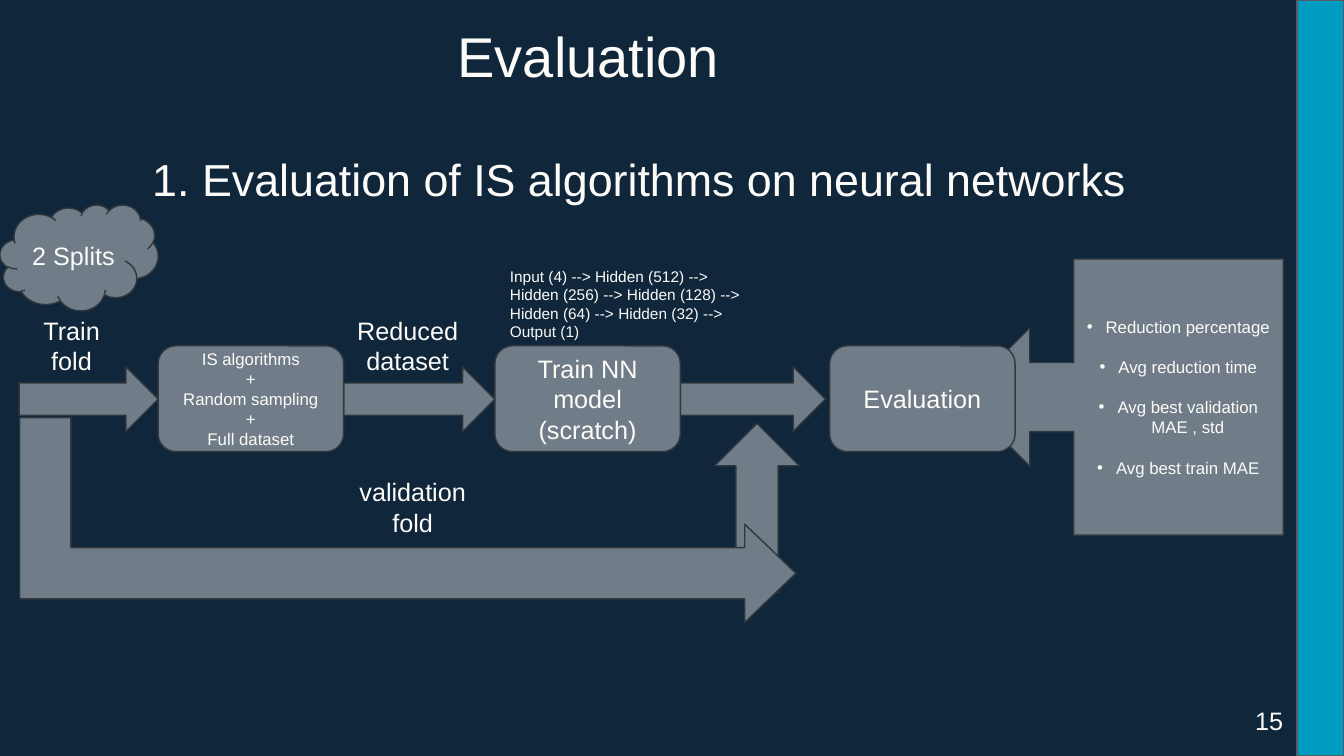
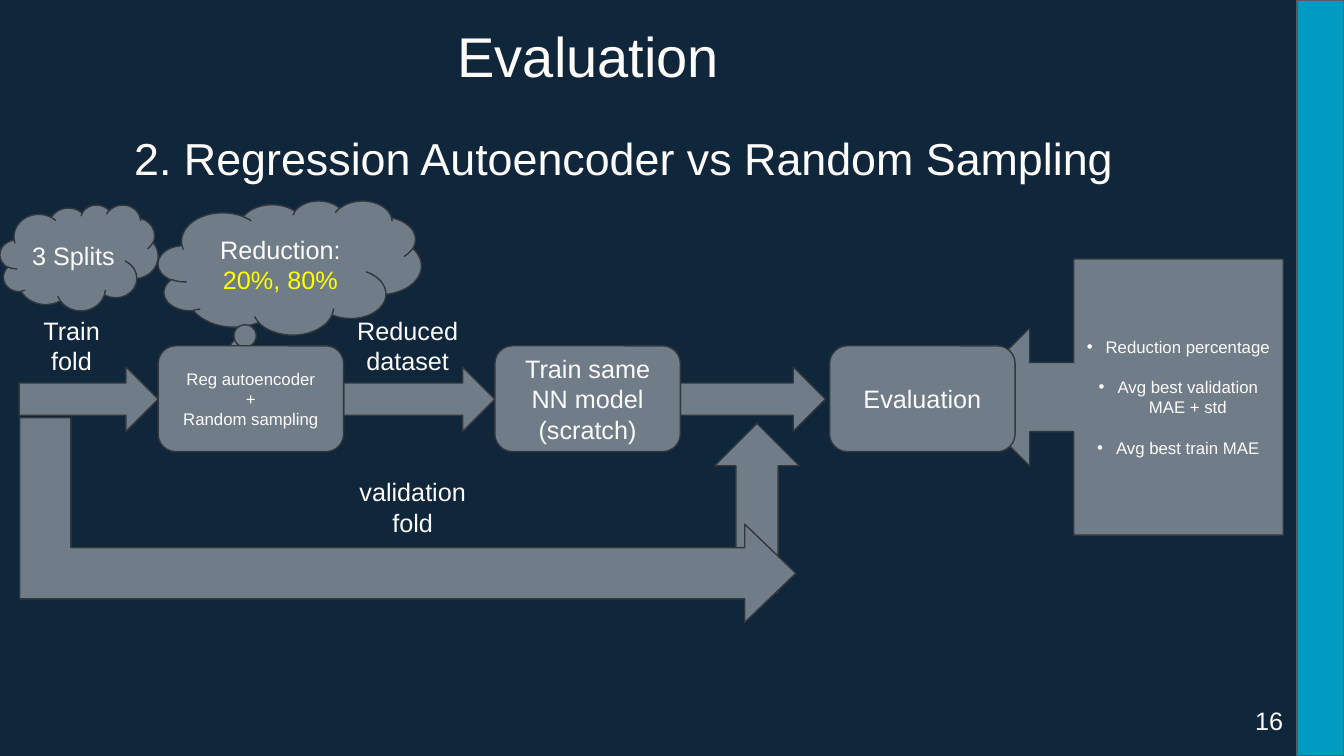
from dataclasses import dataclass, field
from typing import Any, NamedTuple

import lxml.etree
import pptx
import pptx.dml.color
import pptx.enum.shapes
import pptx.enum.text
import pptx.oxml.ns
import pptx.util

Pt = pptx.util.Pt
RGBColor = pptx.dml.color.RGBColor
Preset = pptx.enum.shapes.MSO_SHAPE
Align = pptx.enum.text.PP_ALIGN
Anchor = pptx.enum.text.MSO_ANCHOR


@dataclass(frozen=True)
class Theme:
    font: str = "Arial"
    background: RGBColor = RGBColor.from_string("10263B")
    band: RGBColor = RGBColor.from_string("009BC1")
    band_line: RGBColor = RGBColor.from_string("535C65")
    block: RGBColor = RGBColor.from_string("707D89")
    block_line: RGBColor = RGBColor.from_string("31373C")
    text: RGBColor = RGBColor.from_string("FCFBF8")
    highlight: RGBColor = RGBColor.from_string("FFFF00")
    title_size: float = 40
    heading_size: float = 32
    label_size: float = 18
    detail_size: float = 12
    note_size: float = 11


class Box(NamedTuple):
    left: float
    top: float
    width: float
    height: float


@dataclass(frozen=True)
class Block:
    preset: Any
    box: Box
    lines: tuple[str, ...] = ()
    size: float = 18
    rotation: float = 0
    adjustments: tuple[float, ...] = ()


@dataclass(frozen=True)
class Label:
    text: str
    box: Box
    size: float = 18
    alignment: Any = Align.CENTER


@dataclass(frozen=True)
class Experiment:
    number: int
    page: str
    heading: str
    heading_box: Box
    splits: str
    selectors: tuple[str, ...]
    model: str
    metrics: tuple[str, ...]
    reduction: tuple[str, ...] = ()
    notes: tuple[Label, ...] = field(default=())


THEME = Theme()
STEP_TOP, STEP_WIDTH, STEP_HEIGHT = 247, 132.5, 75.6
STEP_LEFTS = (113, 353.5, 592.6)
ARROW_TOP, ARROW_HEIGHT = 262.1, 46.1
ARROW_SPANS = ((13.7, 113), (245.5, 353.5), (486, 589.7))
BULLET_INDENT, HEADING_INDENT = 13.5, 35.6
METRIC_GAP = 14.4

TITLE_BOX = Box(326.9, 20.9, 193, 54)
BAND_BOX = Box(926.5, 0, 33.5, 540)
PAGE_BOX = Box(859.7, 504, 56.9, 15.8)
SPLITS_BOX = Box(0, 146.2, 113, 75.6)
REDUCTION_BOX = Box(113, 143.3, 188, 95.8)
METRICS_BOX = Box(686.2, 185, 230.4, 197.3)

FOLD_ARROWS = (
    Block(Preset.BENT_UP_ARROW, Box(427, 302.4, 144, 121)),
    Block(Preset.BENT_UP_ARROW, Box(218.2, 94.3, 146.2, 554.4), rotation=90,
          adjustments=(0.25, 0.24, 0.25)),
)
FLOW_LABELS = (
    Label("Train fold", Box(13.7, 221.8, 74.9, 51)),
    Label("Reduced dataset", Box(245.5, 221.8, 91.4, 51)),
    Label("validation fold", Box(245.5, 337, 98.6, 51)),
)

EXPERIMENTS = (
    Experiment(
        number=1, page="15",
        heading="Evaluation of IS algorithms on neural networks",
        heading_box=Box(101.5, 105.1, 740, 46),
        splits="2 Splits",
        selectors=("IS algorithms", "+", "Random sampling", "+", "Full dataset"),
        model="Train NN model (scratch)",
        metrics=("Reduction percentage", "Avg reduction time",
                 "Avg best validation MAE , std", "Avg best train MAE"),
        notes=(Label("Input (4) --> Hidden (512) --> Hidden (256) --> Hidden (128) --> "
                     "Hidden (64) --> Hidden (32) --> Output (1)",
                     Box(357.1, 187.2, 179.3, 60.5), THEME.note_size, Align.LEFT),),
    ),
    Experiment(
        number=2, page="16",
        heading="Regression Autoencoder vs Random Sampling",
        heading_box=Box(88.6, 90, 740, 46),
        splits="3 Splits",
        selectors=("Reg autoencoder", "+", "Random sampling"),
        model="Train same NN model (scratch)",
        metrics=("Reduction percentage", "Avg best validation MAE + std",
                 "Avg best train MAE"),
        reduction=("Reduction:", "20%, 80%"),
    ),
)


def apply_format(target: Any, values: dict[str, Any]) -> None:
    for name, value in values.items():
        setattr(target, name, value)


def place(shape: Any, box: Box) -> None:
    apply_format(shape, {name: Pt(length) for name, length in box._asdict().items()})


def write_lines(shape: Any, lines: tuple[str, ...], size: float,
                alignment: Any = Align.CENTER) -> None:
    frame = shape.text_frame
    frame.word_wrap = True
    for index, line in enumerate(lines):
        paragraph = frame.add_paragraph() if index else frame.paragraphs[0]
        paragraph.alignment = alignment
        run = paragraph.add_run()
        run.text = line
        apply_format(run.font, {"name": THEME.font, "size": Pt(size), "bold": False})
        run.font.color.rgb = THEME.text


def add_bullet(paragraph: Any, indent: float, tag: str, attributes: dict[str, str]) -> None:
    properties = paragraph._p.get_or_add_pPr()
    properties.set("marL", str(Pt(indent)))
    properties.set("indent", str(-Pt(indent)))
    font = lxml.etree.SubElement(properties, pptx.oxml.ns.qn("a:buFont"))
    font.set("typeface", THEME.font)
    bullet = lxml.etree.SubElement(properties, pptx.oxml.ns.qn(tag))
    for name, value in attributes.items():
        bullet.set(name, value)


def draw_block(slide: Any, block: Block, fill: RGBColor = THEME.block,
               line: RGBColor = THEME.block_line) -> Any:
    shape = slide.shapes.add_shape(block.preset, *map(Pt, block.box))
    shape.shadow.inherit = False
    shape.rotation = block.rotation
    for index, value in enumerate(block.adjustments):
        shape.adjustments[index] = value
    shape.fill.solid()
    shape.fill.fore_color.rgb = fill
    shape.line.color.rgb = line
    shape.line.width = Pt(1)
    write_lines(shape, block.lines, block.size)
    return shape


def draw_label(slide: Any, label: Label) -> Any:
    shape = slide.shapes.add_textbox(*map(Pt, label.box))
    write_lines(shape, (label.text,), label.size, label.alignment)
    return shape


def clear_margins(shape: Any) -> None:
    apply_format(shape.text_frame, dict.fromkeys(
        ("margin_left", "margin_top", "margin_right", "margin_bottom"), 0))


def fill_placeholder(shape: Any, box: Box, text: str, size: float,
                     line_spacing: float) -> None:
    place(shape, box)
    write_lines(shape, (text,), size, Align.LEFT)
    apply_format(shape.text_frame, {
        "vertical_anchor": Anchor.TOP,
        "auto_size": pptx.enum.text.MSO_AUTO_SIZE.NONE,
    })
    apply_format(shape.text_frame.paragraphs[0],
                 {"space_before": Pt(0), "line_spacing": line_spacing})


def draw_headings(slide: Any, experiment: Experiment) -> None:
    title, heading = slide.placeholders
    fill_placeholder(title, TITLE_BOX, "Evaluation", THEME.title_size, 0.9)
    clear_margins(title)
    add_bullet(heading.text_frame.paragraphs[0], HEADING_INDENT, "a:buAutoNum",
               {"type": "arabicPeriod", "startAt": str(experiment.number)})
    fill_placeholder(heading, experiment.heading_box, experiment.heading,
                     THEME.heading_size, 1.0)


def draw_metrics(slide: Any, metrics: tuple[str, ...]) -> None:
    callout = draw_block(slide, Block(Preset.LEFT_ARROW_CALLOUT, METRICS_BOX, metrics,
                                      THEME.detail_size))
    for index, paragraph in enumerate(callout.text_frame.paragraphs):
        add_bullet(paragraph, BULLET_INDENT, "a:buChar", {"char": "•"})
        paragraph.space_before = Pt(METRIC_GAP if index else 0)


def draw_reduction(slide: Any, lines: tuple[str, ...]) -> None:
    cloud = draw_block(slide, Block(Preset.CLOUD_CALLOUT, REDUCTION_BOX, lines))
    cloud.text_frame.paragraphs[-1].runs[0].font.color.rgb = THEME.highlight


def draw_flow(slide: Any, experiment: Experiment) -> None:
    for start, end in ARROW_SPANS:
        draw_block(slide, Block(Preset.RIGHT_ARROW,
                                Box(start, ARROW_TOP, end - start, ARROW_HEIGHT)))
    for arrow in FOLD_ARROWS:
        draw_block(slide, arrow)
    draw_metrics(slide, experiment.metrics)
    steps = (
        (experiment.selectors, THEME.detail_size),
        ((experiment.model,), THEME.label_size),
        (("Evaluation",), THEME.label_size),
    )
    for left, (lines, size) in zip(STEP_LEFTS, steps):
        draw_block(slide, Block(Preset.ROUNDED_RECTANGLE,
                                Box(left, STEP_TOP, STEP_WIDTH, STEP_HEIGHT), lines, size))
    draw_block(slide, Block(Preset.CLOUD, SPLITS_BOX, (experiment.splits,)))
    for label in FLOW_LABELS + experiment.notes:
        draw_label(slide, label)


def draw_experiment(slide: Any, experiment: Experiment) -> None:
    draw_headings(slide, experiment)
    if experiment.reduction:
        draw_reduction(slide, experiment.reduction)
    draw_flow(slide, experiment)
    clear_margins(draw_label(slide, Label(experiment.page, PAGE_BOX, THEME.label_size,
                                          Align.RIGHT)))


def move_band_to_layout(slide: Any) -> None:
    """Draw the side band on a slide, then hand it to the layout all slides share."""
    band = draw_block(slide, Block(Preset.RECTANGLE, BAND_BOX), THEME.band, THEME.band_line)
    slide.slide_layout.shapes.element.append(band.element)


def main() -> None:
    presentation = pptx.Presentation()
    apply_format(presentation, {"slide_width": Pt(960), "slide_height": Pt(540)})
    background = presentation.slide_master.background.fill
    background.solid()
    background.fore_color.rgb = THEME.background
    layout = presentation.slide_layouts[1]
    for experiment in EXPERIMENTS:
        draw_experiment(presentation.slides.add_slide(layout), experiment)
    move_band_to_layout(presentation.slides[0])
    presentation.save("out.pptx")


if __name__ == "__main__":
    main()
